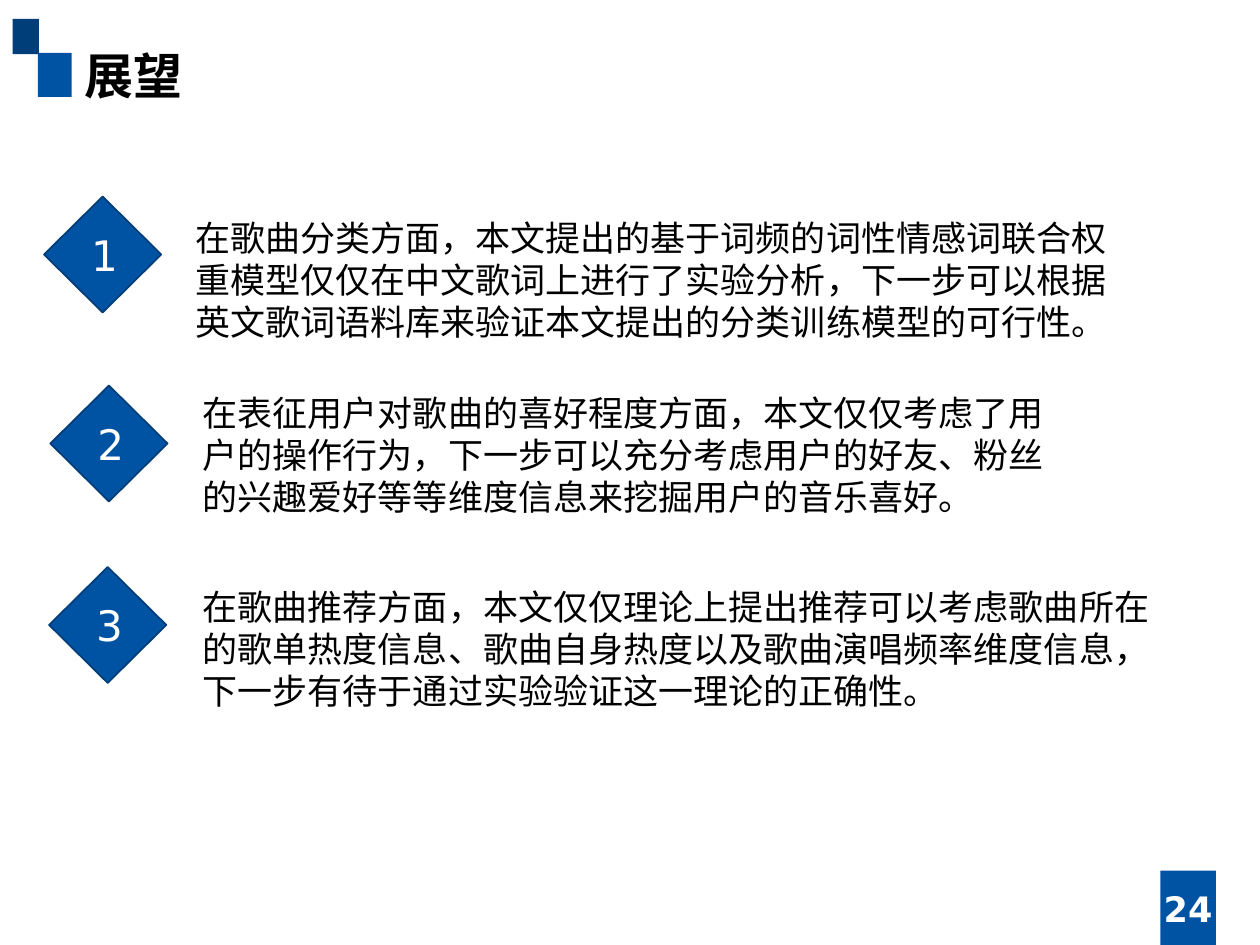
import pptx
import pptx.util
import pptx.oxml
import pptx.oxml.ns
import pptx.dml.color
import pptx.enum.shapes
import pptx.enum.text
from dataclasses import dataclass

SHAPE = pptx.enum.shapes.MSO_SHAPE
ALIGN = pptx.enum.text.PP_ALIGN
ANCHOR = pptx.enum.text.MSO_ANCHOR
COLS, ROWS = 100, 75


@dataclass(frozen=True)
class Theme:
    blue: str = "0053A3"
    navy: str = "003E7A"
    edge: str = "003D79"
    ink: str = "000000"
    white: str = "FFFFFF"
    head: str = "Noto Sans CJK SC"
    body: str = "DejaVu Sans"
    title: int = 28
    mark: int = 24
    text: int = 20


THEME = Theme()

# Each point: box (column, row, columns, rows), text offset and width, wording.
POINTS = [
    ((3.5, 15.6, 9.3, 9.2), (11, 1.1, 77),
     "在歌曲分类方面，本文提出的基于词频的词性情感词联合权重模型仅仅在中文歌词上进行了实验分析，"
     "下一步可以根据英文歌词语料库来验证本文提出的分类训练模型的可行性。"),
    ((4, 30.6, 9.3, 9.2), (11.1, 0, 70.2),
     "在表征用户对歌曲的喜好程度方面，本文仅仅考虑了用户的操作行为，"
     "下一步可以充分考虑用户的好友、粉丝的兴趣爱好等等维度信息来挖掘用户的音乐喜好。"),
    ((3.9, 45, 9.3, 9.2), (11.2, 1, 78.1),
     "在歌曲推荐方面，本文仅仅理论上提出推荐可以考虑歌曲所在的歌单热度信息、"
     "歌曲自身热度以及歌曲演唱频率维度信息，下一步有待于通过实验验证这一理论的正确性。"),
]


def place(box):
    """Turn grid columns and rows into lengths on the slide."""
    return [pptx.util.Inches(n / 10) for n in box]


def add_form(slide, kind, box, fill, edge=None):
    form = slide.shapes.add_shape(kind, *place(box))
    form.shadow.inherit = False
    form.fill.solid()
    form.fill.fore_color.rgb = pptx.dml.color.RGBColor.from_string(fill)
    if edge:
        form.line.color.rgb = pptx.dml.color.RGBColor.from_string(edge)
        form.line.width = pptx.util.Pt(1)
    else:
        form.line.fill.background()


def add_text(slide, box, words, size, color, face=THEME.body, bold=False,
             align=ALIGN.LEFT, anchor=ANCHOR.TOP):
    frame = slide.shapes.add_textbox(*place(box)).text_frame
    frame.word_wrap = True
    frame.vertical_anchor = anchor
    para = frame.paragraphs[0]
    para.text = words
    para.alignment = align
    font = para.font
    font.name, font.size, font.bold = face, pptx.util.Pt(size), bold
    font.color.rgb = pptx.dml.color.RGBColor.from_string(color)
    # Chinese glyphs take the East Asian face, which has no public setter.
    props = para.runs[0].font._element
    asian = props.makeelement(pptx.oxml.ns.qn("a:ea"), {"typeface": face})
    props.append(asian)


def add_head(slide, box, words):
    """Two stepped blocks, then the title to their right."""
    left, top, wide, high = box
    add_form(slide, SHAPE.RECTANGLE, (left + 2, top + 2.7, 2.7, 3.5), THEME.blue)
    add_form(slide, SHAPE.RECTANGLE, (left, top, 2.1, 2.8), THEME.navy)
    add_text(slide, (left + 4.7, top + 1.6, wide - 4.7, high - 1.6), words,
             THEME.title, THEME.ink, THEME.head, bold=True)


def add_point(slide, box, shift, mark, words):
    """A numbered diamond in the box, with its wording set off by shift."""
    left, top, wide, high = box
    across, down, span = shift
    add_form(slide, SHAPE.DIAMOND, box, THEME.blue, THEME.edge)
    add_text(slide, (left + 2.75, top + 2.1, 4.8, 5), mark, THEME.mark, THEME.white)
    add_text(slide, (left + across, top + down, span, 11.1), words,
             THEME.text, THEME.ink)


def add_foot(slide, box, words):
    """Page number centred on a block that meets the slide's lower edge."""
    left, top, wide, high = box
    add_form(slide, SHAPE.RECTANGLE, box, THEME.blue)
    add_text(slide, (left - 3.5, top + 1, wide + 7, 4), words, THEME.text,
             THEME.white, bold=True, align=ALIGN.CENTER, anchor=ANCHOR.MIDDLE)


def main():
    deck = pptx.Presentation()
    deck.slide_width, deck.slide_height = place((COLS, ROWS))
    slide = deck.slides.add_slide(deck.slide_layouts[6])
    add_head(slide, (1, 1.5, 49, 7.3), "展望")
    for mark, (box, shift, words) in enumerate(POINTS, 1):
        add_point(slide, box, shift, str(mark), words)
    add_foot(slide, (92.1, 69.1, 4.4, 5.9), "24")
    deck.save("out.pptx")


if __name__ == "__main__":
    main()
